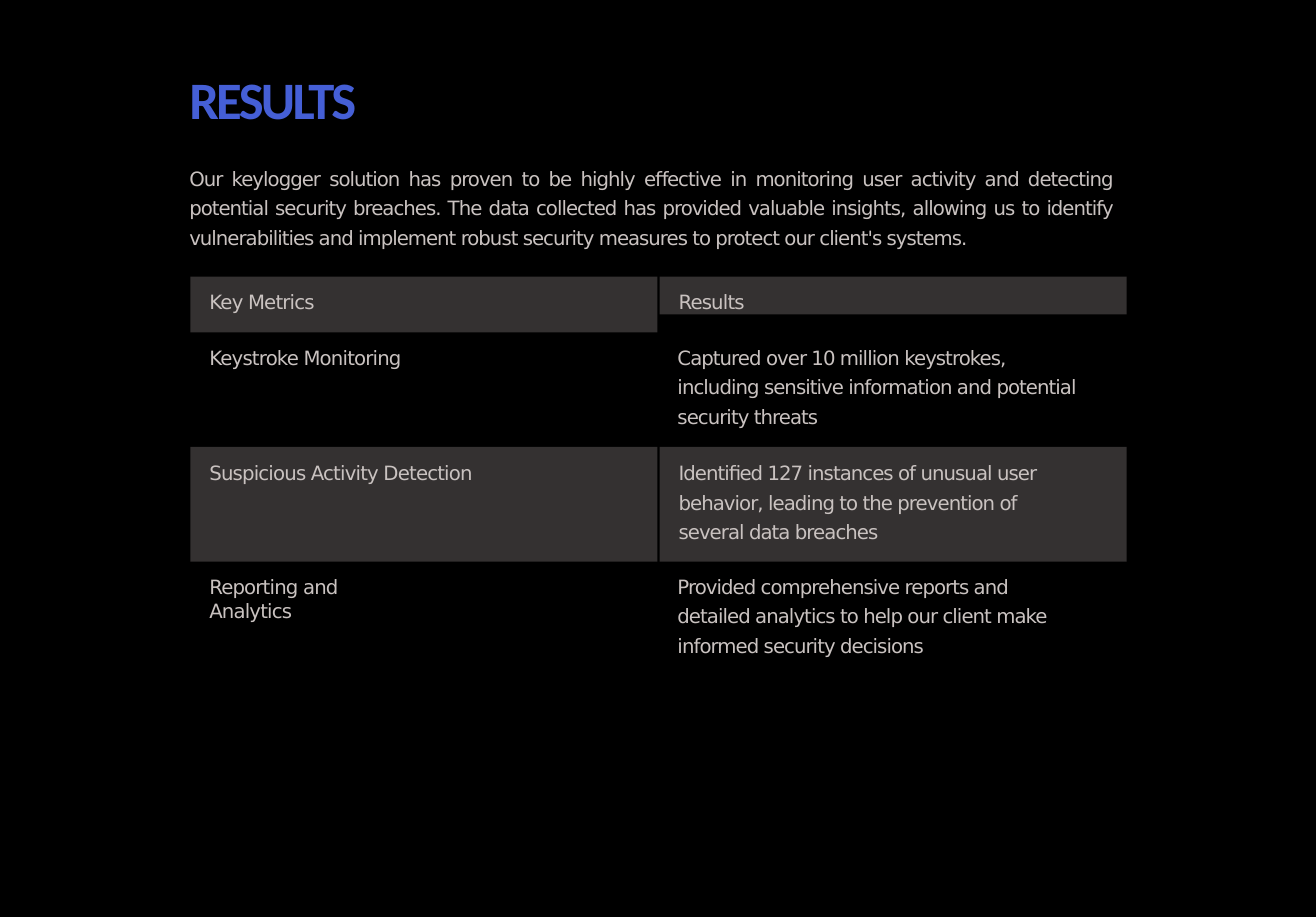
"""Build the results slide: heading, summary and a grid of key metrics."""
from dataclasses import dataclass

from pptx import Presentation
from pptx.dml.color import RGBColor
from pptx.enum.shapes import MSO_SHAPE
from pptx.enum.text import MSO_ANCHOR, PP_ALIGN
from pptx.slide import Slide
from pptx.text.text import TextFrame
from pptx.util import Inches, Length, Pt

WIDTH, HEIGHT = 12.51, 8.72
COLORS = {"page": "000000", "band": "343131", "heading": "455FD6", "body": "C9C2C0"}
MARGIN = 14.39
PANEL_COLUMNS = (14.47, 50.12)
TEXT_COLUMNS = (15.91, 51.48)
PANEL_WIDTH = 35.49
HEADER_TOP, DETECTION_TOP = 30.16, 48.74


@dataclass(frozen=True)
class Style:
    font: str
    size: float
    color: str
    tracking: float
    bold: bool = False
    leading: float = 1.0
    align: PP_ALIGN = PP_ALIGN.LEFT


@dataclass(frozen=True)
class Block:
    text: str
    left: float
    top: float
    width: float
    height: float
    style: Style
    anchor: MSO_ANCHOR = MSO_ANCHOR.TOP


@dataclass(frozen=True)
class Panel:
    text: str
    column: int
    top: float
    height: float
    style: Style
    inset_top: float = 1.49
    inset_right: float = 0


HEADING = Style("Calibri", 36, "heading", -1.8, bold=True)
SUMMARY = Style("DejaVu Sans", 13.5, "body", -0.64, leading=1.25, align=PP_ALIGN.JUSTIFY)
LABEL = Style("DejaVu Sans", 13.5, "body", -0.55)
FINDING = Style("DejaVu Sans", 13.5, "body", -0.62, leading=1.25)

BLOCKS = (
    Block("RESULTS", MARGIN, 7.22, 20.14, 7.11, HEADING, MSO_ANCHOR.MIDDLE),
    Block(
        "Our keylogger solution has proven to be highly effective in monitoring user "
        "activity and detecting potential security breaches. The data collected has "
        "provided valuable insights, allowing us to identify vulnerabilities and implement "
        "robust security measures to protect our client's systems.",
        MARGIN, 17.55, 70.2, 9.98, SUMMARY,
    ),
    Block("Keystroke Monitoring", TEXT_COLUMNS[0], 37.73, 14.71, 2.87, LABEL),
    Block(
        "Captured over 10 million keystrokes, including sensitive information and "
        "potential security threats",
        TEXT_COLUMNS[1], 37.04, 30.94, 9.98, FINDING,
    ),
    Block("Reporting and Analytics", TEXT_COLUMNS[0], 62.73, 16.15, 2.87, LABEL),
    Block(
        "Provided comprehensive reports and detailed analytics to help our client make "
        "informed security decisions",
        TEXT_COLUMNS[1], 62.04, 30.22, 9.98, FINDING,
    ),
)
PANELS = (
    Panel("Key Metrics", 0, HEADER_TOP, 6.08, LABEL),
    Panel("Results", 1, HEADER_TOP, 4.13, LABEL),
    Panel("Suspicious Activity Detection", 0, DETECTION_TOP, 12.5, LABEL),
    Panel(
        "Identified 127 instances of unusual user behavior, leading to the prevention of "
        "several data breaches",
        1, DETECTION_TOP, 12.5, FINDING, 0.92, 3.2,
    ),
)


def across(percent: float) -> Length:
    """Return a share of the slide width."""
    return Inches(WIDTH * percent / 100)


def down(percent: float) -> Length:
    """Return a share of the slide height."""
    return Inches(HEIGHT * percent / 100)


def rgb(name: str) -> RGBColor:
    """Look up a palette colour."""
    return RGBColor.from_string(COLORS[name])


def write(frame: TextFrame, text: str, style: Style, anchor: MSO_ANCHOR) -> None:
    """Fill a text frame without insets and format its paragraph."""
    frame.text = text
    frame.word_wrap = True
    frame.vertical_anchor = anchor
    frame.margin_left = frame.margin_right = frame.margin_top = frame.margin_bottom = 0
    paragraph = frame.paragraphs[0]
    paragraph.alignment = style.align
    paragraph.line_spacing = style.leading
    for run in paragraph.runs:
        run.font.name = style.font
        run.font.size = Pt(style.size)
        run.font.bold = style.bold
        run.font.color.rgb = rgb(style.color)
        run.font._element.set("spc", str(round(style.tracking * 100)))


def add_block(slide: Slide, block: Block) -> None:
    """Place text directly on the page."""
    frame = slide.shapes.add_textbox(
        across(block.left), down(block.top), across(block.width), down(block.height)
    ).text_frame
    write(frame, block.text, block.style, block.anchor)


def add_panel(slide: Slide, panel: Panel) -> None:
    """Place text on a grey panel of the metrics grid."""
    band = slide.shapes.add_shape(
        MSO_SHAPE.RECTANGLE, across(PANEL_COLUMNS[panel.column]), down(panel.top),
        across(PANEL_WIDTH), down(panel.height),
    )
    band.shadow.inherit = False
    band.fill.solid()
    band.fill.fore_color.rgb = rgb("band")
    band.line.fill.background()
    frame = band.text_frame
    write(frame, panel.text, panel.style, MSO_ANCHOR.TOP)
    frame.margin_left = across(1.44)
    frame.margin_top = down(panel.inset_top)
    frame.margin_right = across(panel.inset_right)


def main() -> None:
    """Assemble and save the slide."""
    deck = Presentation()
    deck.slide_width, deck.slide_height = Inches(WIDTH), Inches(HEIGHT)
    slide = deck.slides.add_slide(deck.slide_layouts[6])
    slide.background.fill.solid()
    slide.background.fill.fore_color.rgb = rgb("page")
    for panel in PANELS:
        add_panel(slide, panel)
    for block in BLOCKS:
        add_block(slide, block)
    deck.save("out.pptx")


if __name__ == "__main__":
    main()
